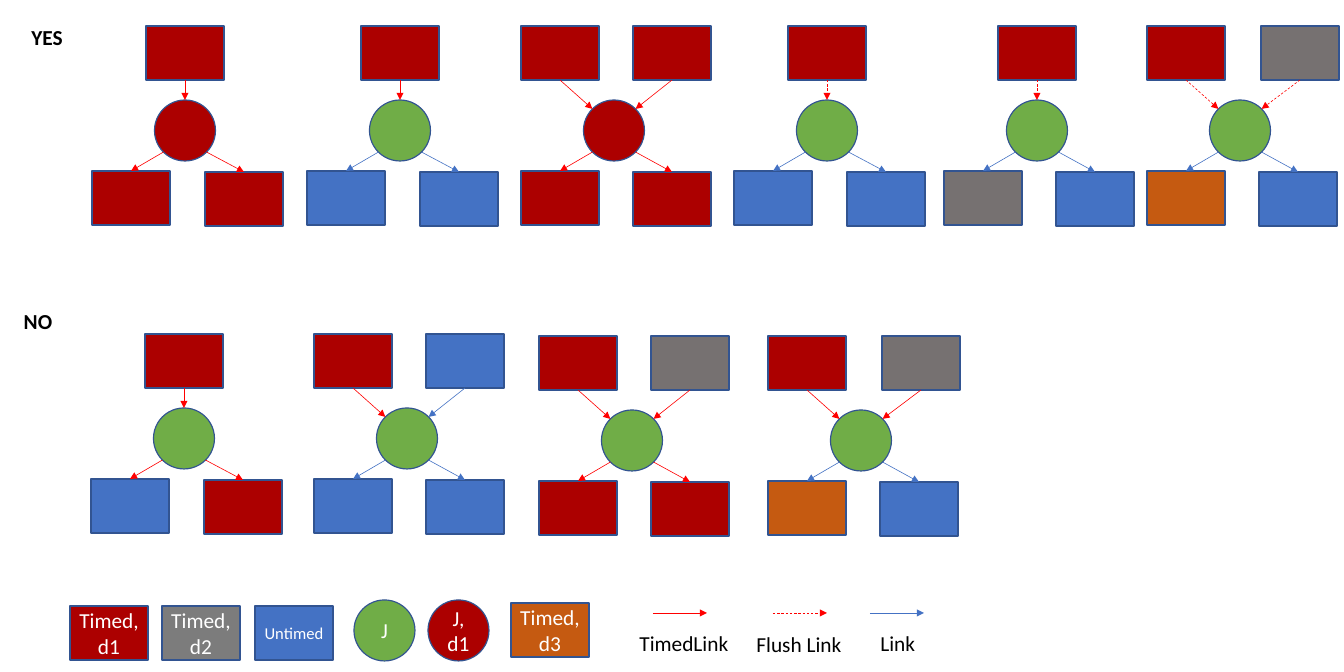
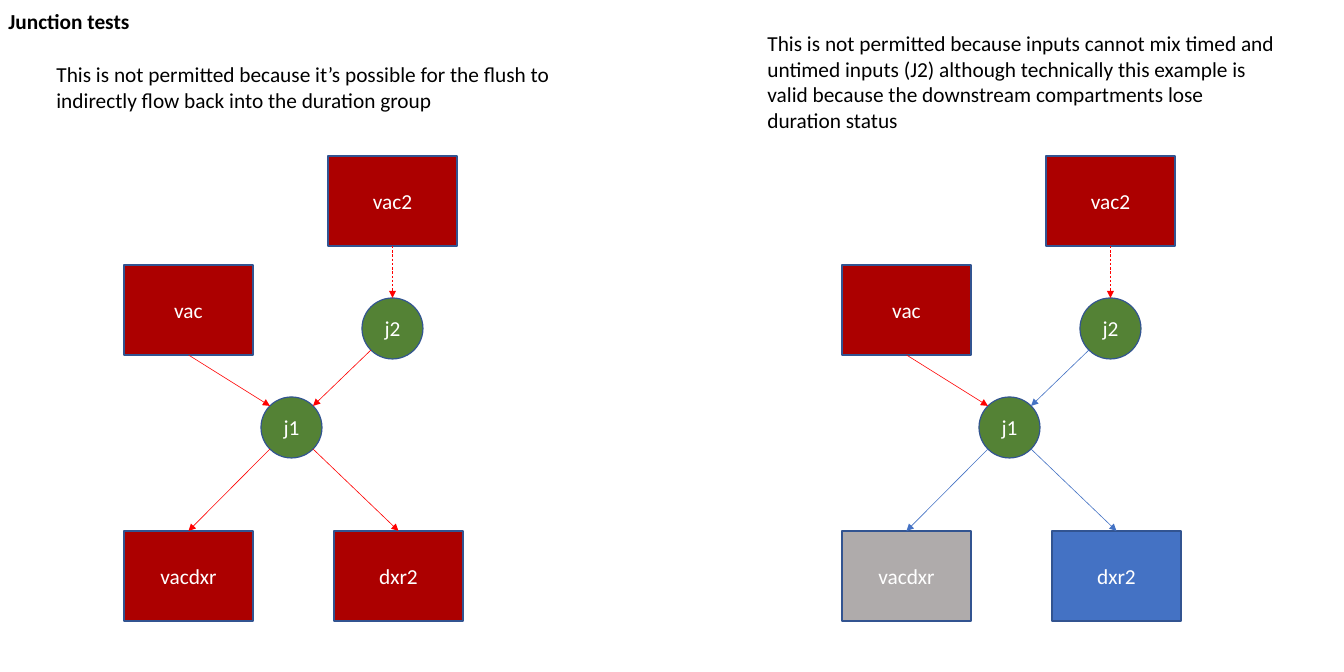
from lxml import etree
from pptx import Presentation
from pptx import util as u
from pptx.dml.color import RGBColor
from pptx.enum import dml, shapes, text
from pptx.oxml.ns import qn

WIDE, HIGH = 1344, 672
SCALE = u.Inches(15.75) / WIDE

FONT, SIZE = "Calibri", 18
EDGE, INK, PAPER = "325491", "000000", "FFFFFF"
HUES = {"red": "AC0000", "grey": "767171", "blue": "4472C4",
        "green": "70AD47", "rust": "C55A11"}
MOSS, MID, PALE = "548235", "7C7C7C", "AFABAB"
LINKS = {"timed": ("FF0000", False), "flush": ("FF0000", True),
         "plain": ("4472C4", False)}

BOX, BALL, CARD = (78, 54), (61, 61), (129, 90)
RECT, OVAL = shapes.MSO_SHAPE.RECTANGLE, shapes.MSO_SHAPE.OVAL
LEFT, MIDDLE = text.PP_ALIGN.LEFT, text.PP_ALIGN.CENTER

# Slide 1: centre x, top y, junction, inputs, outputs (side, fill, link)
TREES = [
    (185, 26, "red", [(0, "red", "timed")],
     [(-54, "red", "timed"), (59, "red", "timed")]),
    (400, 26, "green", [(0, "red", "timed")],
     [(-54, "blue", "plain"), (59, "blue", "plain")]),
    (614, 26, "red", [(-54, "red", "timed"), (58, "red", "timed")],
     [(-54, "red", "timed"), (58, "red", "timed")]),
    (827, 26, "green", [(0, "red", "flush")],
     [(-54, "blue", "plain"), (59, "blue", "plain")]),
    (1037, 26, "green", [(0, "red", "flush")],
     [(-54, "grey", "plain"), (58, "blue", "plain")]),
    (1240, 26, "green", [(-54, "red", "flush"), (60, "grey", "flush")],
     [(-54, "rust", "plain"), (58, "blue", "plain")]),
    (184, 334, "green", [(0, "red", "timed")],
     [(-54, "blue", "timed"), (59, "red", "timed")]),
    (407, 334, "green", [(-54, "red", "timed"), (58, "blue", "plain")],
     [(-54, "blue", "plain"), (58, "blue", "plain")]),
    (632, 336, "green", [(-54, "red", "timed"), (58, "grey", "timed")],
     [(-54, "red", "timed"), (58, "red", "timed")]),
    (861, 336, "green", [(-54, "red", "timed"), (60, "grey", "timed")],
     [(-54, "rust", "plain"), (58, "blue", "plain")]),
]
DROPS = {"ball": 74, "out": 145, "skew": 1}

KEYS = [
    (RECT, 70, 606, BOX, HUES["red"], "Timed, d1", 18),
    (RECT, 162, 606, BOX, MID, "Timed, d2", 18),
    (RECT, 255, 606, BOX, HUES["blue"], "Untimed", 14),
    (OVAL, 354, 600, BALL, HUES["green"], "J", 18),
    (OVAL, 428, 600, BALL, HUES["red"], "J, d1", 18),
    (RECT, 511, 603, BOX, HUES["rust"], "Timed, d3", 18),
]
# Link kind, arrow x, label, label place
ARROWS = [("timed", 653, "TimedLink", (631, 626, 108, 34)),
          ("flush", 773, "Flush Link", (748, 627, 103, 34)),
          ("plain", 870, "Link", (872, 626, 52, 34))]
KEY_Y, KEY_RUN = 613, 54

# Slide 2: the same net twice
NET = {"vac2": (RECT, 328, 156, CARD), "vac": (RECT, 124, 265, CARD),
       "j2": (OVAL, 362, 298, BALL), "j1": (OVAL, 261, 397, BALL),
       "vacdxr": (RECT, 124, 531, CARD), "dxr2": (RECT, 334, 531, CARD)}
BASE = {"vac2": HUES["red"], "vac": HUES["red"], "j2": MOSS, "j1": MOSS}
WIRES = [("vac2", "j2"), ("vac", "j1"), ("j2", "j1"),
         ("j1", "vacdxr"), ("j1", "dxr2")]
CASES = [
    (0, {"vacdxr": HUES["red"], "dxr2": HUES["red"]},
     ["flush", "timed", "timed", "timed", "timed"], (48, 57, 529, 61),
     "This is not permitted because it’s possible for the flush to "
     "indirectly flow back into the duration group"),
    (718, {"vacdxr": PALE, "dxr2": HUES["blue"]},
     ["flush", "timed", "plain", "plain", "plain"], (759, 26, 529, 112),
     "This is not permitted because inputs cannot mix timed and untimed "
     "inputs (J2) although technically this example is valid because the "
     "downstream compartments lose duration status"),
]


def px(n):
    """Turn pixels into EMU."""
    return u.Emu(round(n * SCALE))


def rgb(hue):
    """Turn a hex string into a colour."""
    return RGBColor.from_string(hue)


def put(item, vals):
    """Set each attribute named in vals."""
    for key, val in vals.items():
        setattr(item, key, val)


def write(shape, words, hue, align, size=SIZE, bold=False, wrap=True):
    """Put one formatted paragraph into a shape."""
    frame = shape.text_frame
    frame.word_wrap = wrap
    para = frame.paragraphs[0]
    para.alignment = align
    run = para.add_run()
    run.text = words
    put(run.font, {"name": FONT, "size": u.Pt(size), "bold": bold})
    run.font.color.rgb = rgb(hue)


def label(slide, words, place, align=LEFT, **style):
    """Add a text box."""
    box = slide.shapes.add_textbox(*map(px, place))
    write(box, words, INK, align, **style)


def node(slide, form, x, y, dims, hue, words="", size=SIZE):
    """Add a filled box or circle."""
    shape = slide.shapes.add_shape(form, *map(px, (x, y, *dims)))
    shape.shadow.inherit = False
    shape.fill.solid()
    shape.fill.fore_color.rgb = rgb(hue)
    shape.line.color.rgb = rgb(EDGE)
    shape.line.width = u.Pt(1)
    shape.text_frame.vertical_anchor = text.MSO_ANCHOR.MIDDLE
    if words:
        write(shape, words, PAPER, MIDDLE, size)
    return shape


def arrow(slide, start, end, kind):
    """Draw an arrow between two EMU points."""
    hue, dash = LINKS[kind]
    wire = slide.shapes.add_connector(
        shapes.MSO_CONNECTOR.STRAIGHT, *start, *end)
    wire.line.color.rgb = rgb(hue)
    wire.line.width = u.Pt(0.5)
    if dash:
        wire.line.dash_style = dml.MSO_LINE.DASH
    props = wire.element.spPr
    etree.SubElement(props.find(qn("a:ln")), qn("a:tailEnd"), type="triangle")
    etree.SubElement(props, qn("a:effectLst"))


def hub(shape):
    """Give the centre of a shape."""
    return shape.left + shape.width // 2, shape.top + shape.height // 2


def port(shape, mate):
    """Give the point on a shape that faces its mate."""
    (x, y), (far, low) = hub(shape), hub(mate)
    down = 1 if low > y else -1
    side, drop = 0, shape.height / 2
    if shape.auto_shape_type == OVAL and abs(far - x) > px(2):
        drop *= 0.5 ** 0.5
        side = drop if far > x else -drop
    return round(x + side), round(y + down * drop)


def join(slide, a, b, kind):
    """Link two nodes with an arrow from a to b."""
    arrow(slide, port(a, b), port(b, a), kind)


def tree(slide, mid, top, hue, ins, outs):
    """Draw a junction with its inputs and outputs."""
    half = BOX[0] // 2
    ball = node(slide, OVAL, mid - BALL[0] / 2, top + DROPS["ball"],
                BALL, HUES[hue])
    for side, fill, kind in ins:
        box = node(slide, RECT, mid + side - half, top, BOX, HUES[fill])
        join(slide, box, ball, kind)
    for i, (side, fill, kind) in enumerate(outs):
        low = top + DROPS["out"] + i * DROPS["skew"]
        box = node(slide, RECT, mid + side - half, low, BOX, HUES[fill])
        join(slide, ball, box, kind)


def rules(slide):
    """Build the slide of allowed and barred links."""
    label(slide, "YES", (0, 20, 94, 34), MIDDLE, bold=True)
    label(slide, "NO", (0, 304, 76, 34), MIDDLE, bold=True)
    for item in TREES:
        tree(slide, *item)
    for key in KEYS:
        node(slide, *key)
    for kind, x, words, place in ARROWS:
        arrow(slide, (px(x), px(KEY_Y)), (px(x + KEY_RUN), px(KEY_Y)), kind)
        label(slide, words, place, wrap=False)


def tests(slide):
    """Build the slide of junction tests."""
    label(slide, "Junction tests", (0, 4, 299, 34), bold=True)
    for shift, fills, kinds, place, words in CASES:
        hues = BASE | fills
        nodes = {name: node(slide, form, x + shift, y, dims, hues[name], name)
                 for name, (form, x, y, dims) in NET.items()}
        for (a, b), kind in zip(WIRES, kinds):
            join(slide, nodes[a], nodes[b], kind)
        label(slide, words, place)


deck = Presentation()
put(deck, {"slide_width": px(WIDE), "slide_height": px(HIGH)})
for build in (rules, tests):
    build(deck.slides.add_slide(deck.slide_layouts[6]))
deck.save("out.pptx")
